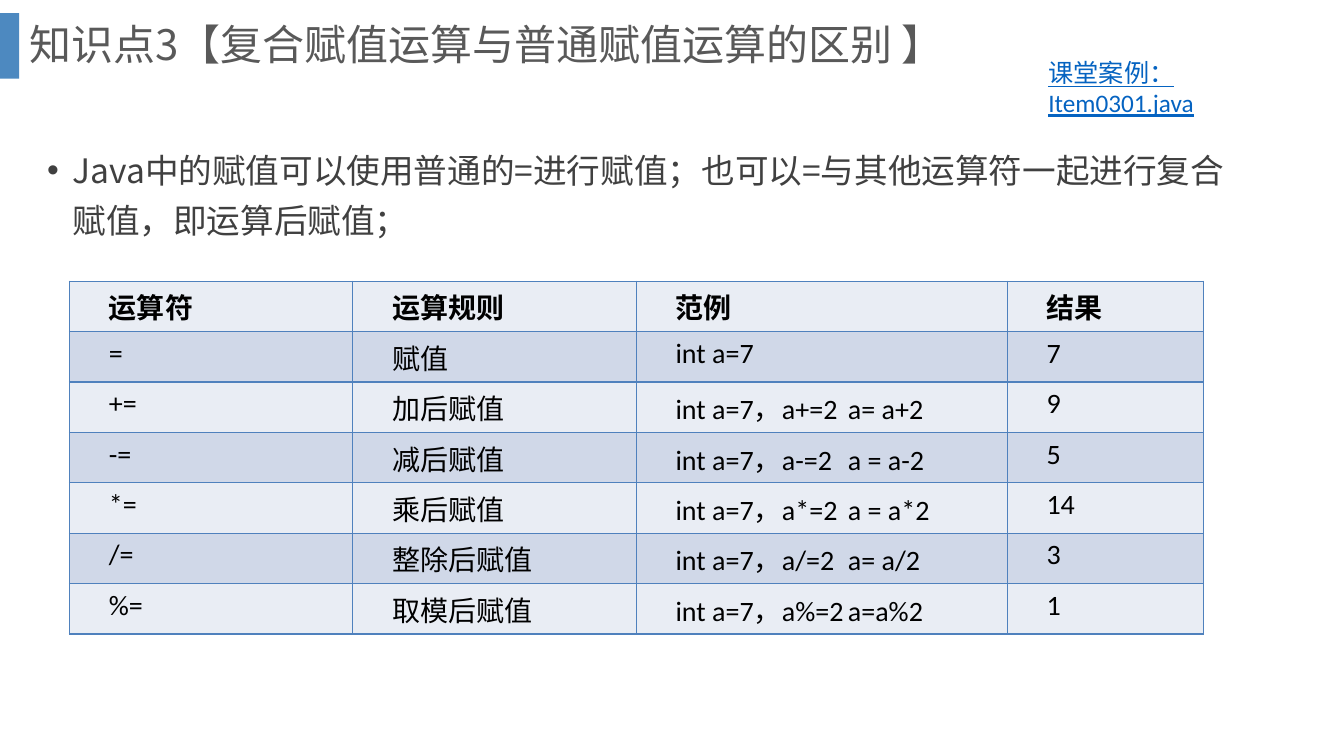
import pptx
import pptx.dml.color
import pptx.enum.shapes
import pptx.enum.text
import pptx.oxml
import pptx.oxml.ns
import pptx.util

Inches = pptx.util.Inches
qn = pptx.oxml.ns.qn
NAMESPACE = pptx.oxml.ns.nsdecls("a")
CJK_FONT = "Noto Sans CJK SC"
COLORS = {
    "accent": "2E75B6", "title": "595959", "body": "404040", "link": "0563C1",
    "cell": "000000", "border": "4F81BD", "light": "E9EDF4", "dark": "D0D8E8",
}


def add_run(paragraph, text, size, font_name, color):
    run = paragraph.add_run()
    run.text = text
    run.font.size = pptx.util.Pt(size)
    run.font.name = font_name
    run.font.color.rgb = pptx.dml.color.RGBColor.from_string(COLORS[color])
    east_asian = pptx.oxml.parse_xml(f'<a:ea {NAMESPACE} typeface="{CJK_FONT}"/>')
    run.font._element.find(qn("a:latin")).addnext(east_asian)
    return run


def add_text_box(left, top, width, height):
    """Add a wrapping text box and return its text frame."""
    text_frame = slide.shapes.add_textbox(
        Inches(left), Inches(top), Inches(width), Inches(height)).text_frame
    text_frame.word_wrap = True
    return text_frame


presentation = pptx.Presentation()
presentation.slide_width = Inches(13.33)
presentation.slide_height = Inches(7.5)
slide = presentation.slides.add_slide(presentation.slide_layouts[6])

# Title with its accent bar
accent_bar = slide.shapes.add_shape(
    pptx.enum.shapes.MSO_SHAPE.RECTANGLE, 0, Inches(0.13), Inches(0.19), Inches(0.65))
accent_bar.shadow.inherit = False
accent_bar.line.fill.background()
accent_bar.fill.solid()
accent_bar.fill.fore_color.rgb = pptx.dml.color.RGBColor.from_string(COLORS["accent"])
accent_color = accent_bar._element.spPr.find(qn("a:solidFill"))[0]
accent_color.append(pptx.oxml.parse_xml(f'<a:alpha {NAMESPACE} val="85000"/>'))

title_frame = add_text_box(0.19, 0, 12.66, 0.93)
title_frame.vertical_anchor = pptx.enum.text.MSO_ANCHOR.MIDDLE
title_frame.paragraphs[0].line_spacing = 0.9
add_run(title_frame.paragraphs[0], "知识点3【复合赋值运算与普通赋值运算的区别 】",
        30, CJK_FONT, "title")

# Bulleted statement
body_paragraph = add_text_box(0.37, 1.35, 12.05, 1.3).paragraphs[0]
body_paragraph.line_spacing = 1.23
body_properties = body_paragraph._p.get_or_add_pPr()
body_properties.set("marL", str(Inches(0.25)))
body_properties.set("indent", str(Inches(-0.25)))
for bullet_xml in ('<a:buFont {} typeface="Arial"/>', '<a:buChar {} char="•"/>'):
    body_properties.append(pptx.oxml.parse_xml(bullet_xml.format(NAMESPACE)))
add_run(body_paragraph,
        "Java中的赋值可以使用普通的=进行赋值；也可以=与其他运算符一起进行复合赋值，即运算后赋值；",
        24, CJK_FONT, "body")

# Operator table
OPERATORS = [
    ("运算符", "运算规则", "范例", "结果"),
    ("=", "赋值", "int a=7", "7"),
    ("+=", "加后赋值", "int a=7，a+=2\ta= a+2", "9"),
    ("-=", "减后赋值", "int a=7，a-=2\ta = a-2", "5"),
    ("*=", "乘后赋值", "int a=7，a*=2\ta = a*2", "14"),
    ("/=", "整除后赋值", "int a=7，a/=2\ta= a/2", "3"),
    ("%=", "取模后赋值", "int a=7，a%=2\ta=a%2", "1"),
]
COLUMN_WIDTHS = [2.81, 2.81, 3.68, 1.95]
ROW_HEIGHT = 0.5
table = slide.shapes.add_table(
    len(OPERATORS), len(COLUMN_WIDTHS), Inches(0.69), Inches(2.79),
    Inches(sum(COLUMN_WIDTHS)), Inches(ROW_HEIGHT * len(OPERATORS))).table
for column, width in zip(table.columns, COLUMN_WIDTHS):
    column.width = Inches(width)

for row_index, row_texts in enumerate(OPERATORS):
    table.rows[row_index].height = Inches(ROW_HEIGHT)
    band = COLORS["dark" if row_index % 2 else "light"]
    for column_index, text in enumerate(row_texts):
        cell = table.cell(row_index, column_index)
        paragraph = cell.text_frame.paragraphs[0]
        paragraph.alignment = pptx.enum.text.PP_ALIGN.JUSTIFY
        properties = paragraph._p.get_or_add_pPr()
        properties.set("indent", str(Inches(0.29)))
        if "\t" in text:
            properties.append(pptx.oxml.parse_xml(
                f'<a:tabLst {NAMESPACE}><a:tab pos="{Inches(2.25)}" algn="l"/></a:tabLst>'))
        run = add_run(paragraph, text, 20, "Calibri", "cell")
        run.font.bold = row_index == 0
        cell_properties = cell._tc.get_or_add_tcPr()
        for side in ("lnL", "lnR", "lnT", "lnB"):
            cell_properties.append(pptx.oxml.parse_xml(
                f'<a:{side} {NAMESPACE} w="{pptx.util.Pt(1)}"><a:solidFill>'
                f'<a:srgbClr val="{COLORS["border"]}"/></a:solidFill></a:{side}>'))
        cell.fill.solid()
        cell.fill.fore_color.rgb = pptx.dml.color.RGBColor.from_string(band)

# Classroom example label
example_frame = add_text_box(10.3, 0.52, 2.28, 0.71)
example_run = add_run(example_frame.paragraphs[0], "课堂案例：Item0301.java",
                      18, "Calibri", "link")
example_run.font.underline = True

presentation.save("out.pptx")
